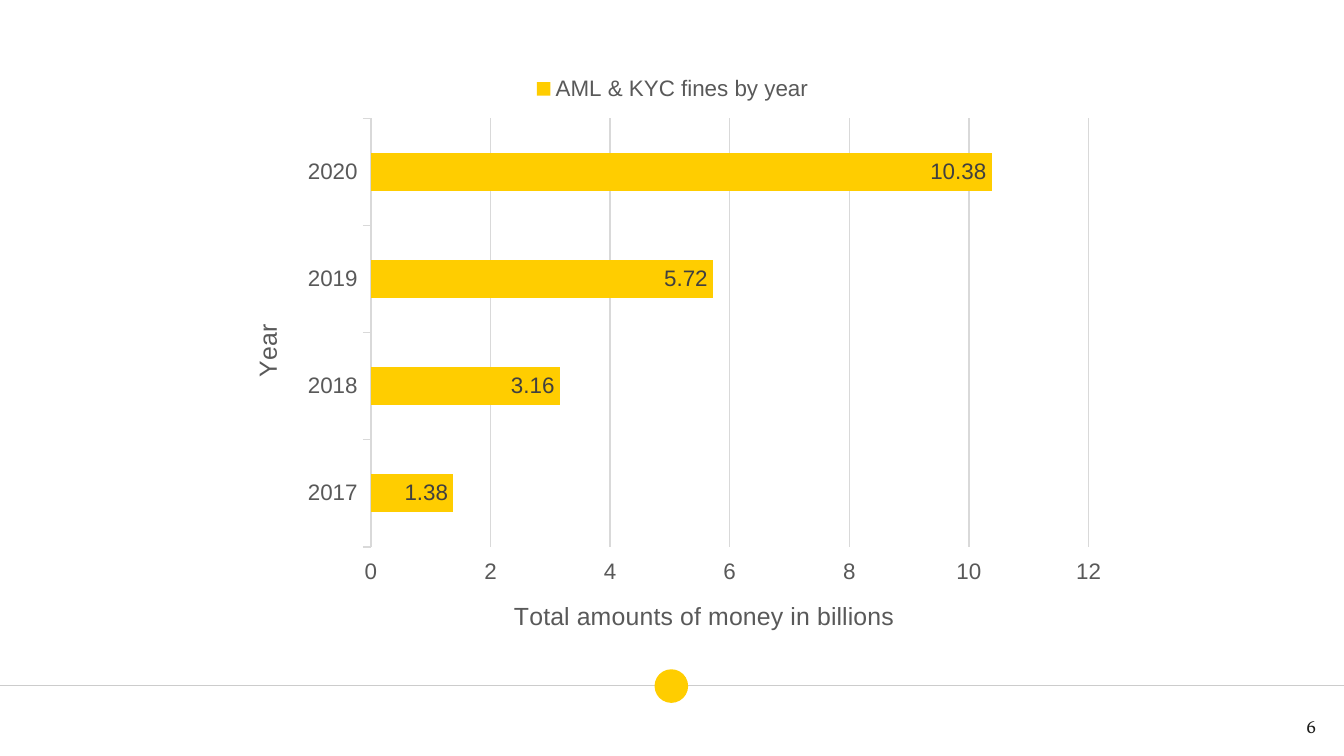
import dataclasses

import lxml.etree
import pptx
import pptx.chart.data
import pptx.dml.color
import pptx.enum.chart
import pptx.enum.shapes
import pptx.enum.text
import pptx.oxml
import pptx.oxml.ns
import pptx.util

Inches = pptx.util.Inches
Pt = pptx.util.Pt
qn = pptx.oxml.ns.qn


@dataclasses.dataclass(frozen=True)
class Theme:
    """Colours, fonts and type sizes of the slide."""
    accent: str = "FFCD00"
    rule: str = "CCCCCC"
    grid: str = "D9D9D9"
    axis_text: str = "595959"
    label_text: str = "404040"
    page_text: str = "1D1D1B"
    chart_font: str = "Arial"
    page_font: str = "Vollkorn"
    chart_size: float = 12
    title_size: float = 13.3
    page_size: float = 10
    hairline: float = 0.75


THEME = Theme()


def rgb(value):
    """Return a colour from its hex digits."""
    return pptx.dml.color.RGBColor.from_string(value)


def style_font(font, name, size, color):
    """Set the face, size and colour of a font."""
    font.name = name
    font.size = Pt(size)
    font.bold = False
    font.color.rgb = rgb(color)


def style_line(line, color):
    """Set a thin line in one colour."""
    line.color.rgb = rgb(color)
    line.width = Pt(THEME.hairline)


def add_rule(s, x1, x2, y):
    """Add a horizontal line without a shadow."""
    sp = s.shapes.add_connector(pptx.enum.shapes.MSO_CONNECTOR.STRAIGHT,
                                Inches(x1), Inches(y), Inches(x2), Inches(y))
    style_line(sp.line, THEME.rule)
    lxml.etree.SubElement(sp._element.spPr, qn("a:effectLst"))


def add_dot(s, x, y, size):
    """Add a filled circle."""
    sp = s.shapes.add_shape(pptx.enum.shapes.MSO_SHAPE.OVAL,
                            Inches(x), Inches(y), Inches(size), Inches(size))
    sp.shadow.inherit = False
    sp.fill.solid()
    sp.fill.fore_color.rgb = rgb(THEME.accent)
    sp.line.fill.background()


def add_page_number(s, text, x, y, w, h):
    """Add a right-aligned page number."""
    sp = s.shapes.add_textbox(Inches(x), Inches(y), Inches(w), Inches(h))
    tf = sp.text_frame
    tf.word_wrap = True
    tf.vertical_anchor = pptx.enum.text.MSO_ANCHOR.MIDDLE
    tf.margin_left = tf.margin_right = Inches(0.1)
    tf.margin_top = tf.margin_bottom = Inches(0.1)
    p = tf.paragraphs[0]
    p.alignment = pptx.enum.text.PP_ALIGN.RIGHT
    r = p.add_run()
    r.text = text
    style_font(r.font, THEME.page_font, THEME.page_size, THEME.page_text)


def style_axis(axis, title):
    """Style the tick labels of an axis and give it a title."""
    style_font(axis.tick_labels.font, THEME.chart_font, THEME.chart_size, THEME.axis_text)
    axis.major_tick_mark = pptx.enum.chart.XL_TICK_MARK.OUTSIDE
    r = axis.axis_title.text_frame.paragraphs[0].add_run()
    r.text = title
    style_font(r.font, THEME.chart_font, THEME.title_size, THEME.axis_text)


def place_plot(chart, **box):
    """Fix the inner plot area as fractions of the chart."""
    area = chart._chartSpace.chart.plotArea
    for old in area.findall(qn("c:layout")):
        area.remove(old)
    layout = pptx.oxml.parse_xml(
        f'<c:layout {pptx.oxml.ns.nsdecls("c")}><c:manualLayout>'
        '<c:layoutTarget val="inner"/><c:xMode val="edge"/><c:yMode val="edge"/>'
        + "".join(f'<c:{key} val="{val}"/>' for key, val in box.items())
        + '</c:manualLayout></c:layout>')
    area.insert(0, layout)


def add_fines_chart(s, fines, x, y, w, h):
    """Add the bar chart of fines by year."""
    data = pptx.chart.data.CategoryChartData()
    data.categories = list(fines)
    data.add_series("AML & KYC fines by year", list(fines.values()))
    chart = s.shapes.add_chart(pptx.enum.chart.XL_CHART_TYPE.BAR_CLUSTERED,
                               Inches(x), Inches(y), Inches(w), Inches(h), data).chart
    chart.has_title = False
    chart.font.name = THEME.chart_font
    chart.font.size = Pt(THEME.page_size)
    chart.has_legend = True
    chart.legend.position = pptx.enum.chart.XL_LEGEND_POSITION.TOP
    chart.legend.include_in_layout = False
    style_font(chart.legend.font, THEME.chart_font, THEME.chart_size, THEME.axis_text)

    style_axis(chart.category_axis, "Year")
    style_line(chart.category_axis.format.line, THEME.grid)
    axis = chart.value_axis
    style_axis(axis, "Total amounts of money in billions")
    axis.format.line.fill.background()
    axis.minimum_scale, axis.maximum_scale, axis.major_unit = 0, 12, 2
    axis.has_major_gridlines = True
    style_line(axis.major_gridlines.format.line, THEME.grid)

    plot = chart.plots[0]
    plot.vary_by_categories = False
    plot.gap_width = 182
    fill = plot.series[0].format.fill
    fill.solid()
    fill.fore_color.rgb = rgb(THEME.accent)
    labels = plot.series[0].data_labels
    labels.show_value = True
    labels.position = pptx.enum.chart.XL_LABEL_POSITION.INSIDE_END
    style_font(labels.font, THEME.chart_font, THEME.chart_size, THEME.label_text)
    place_plot(chart, x=1.09 / w, y=0.42 / h, w=5.34 / w, h=3.19 / h)


def main():
    """Build and save the slide."""
    prs = pptx.Presentation()
    prs.slide_width = Inches(10)
    prs.slide_height = prs.slide_width * 9 // 16
    s = prs.slides.add_slide(prs.slide_layouts[6])
    add_rule(s, -0.01, 10.01, 5.1)
    add_dot(s, 4.87, 4.98, 0.25)
    fines = {"2017": 1.38, "2018": 3.16, "2019": 5.72, "2020": 10.38}
    add_fines_chart(s, fines, 1.67, 0.46, 6.67, 4.44)
    add_page_number(s, "6", 9.29, 5.19, 0.6, 0.43)
    prs.save("out.pptx")


if __name__ == "__main__":
    main()
